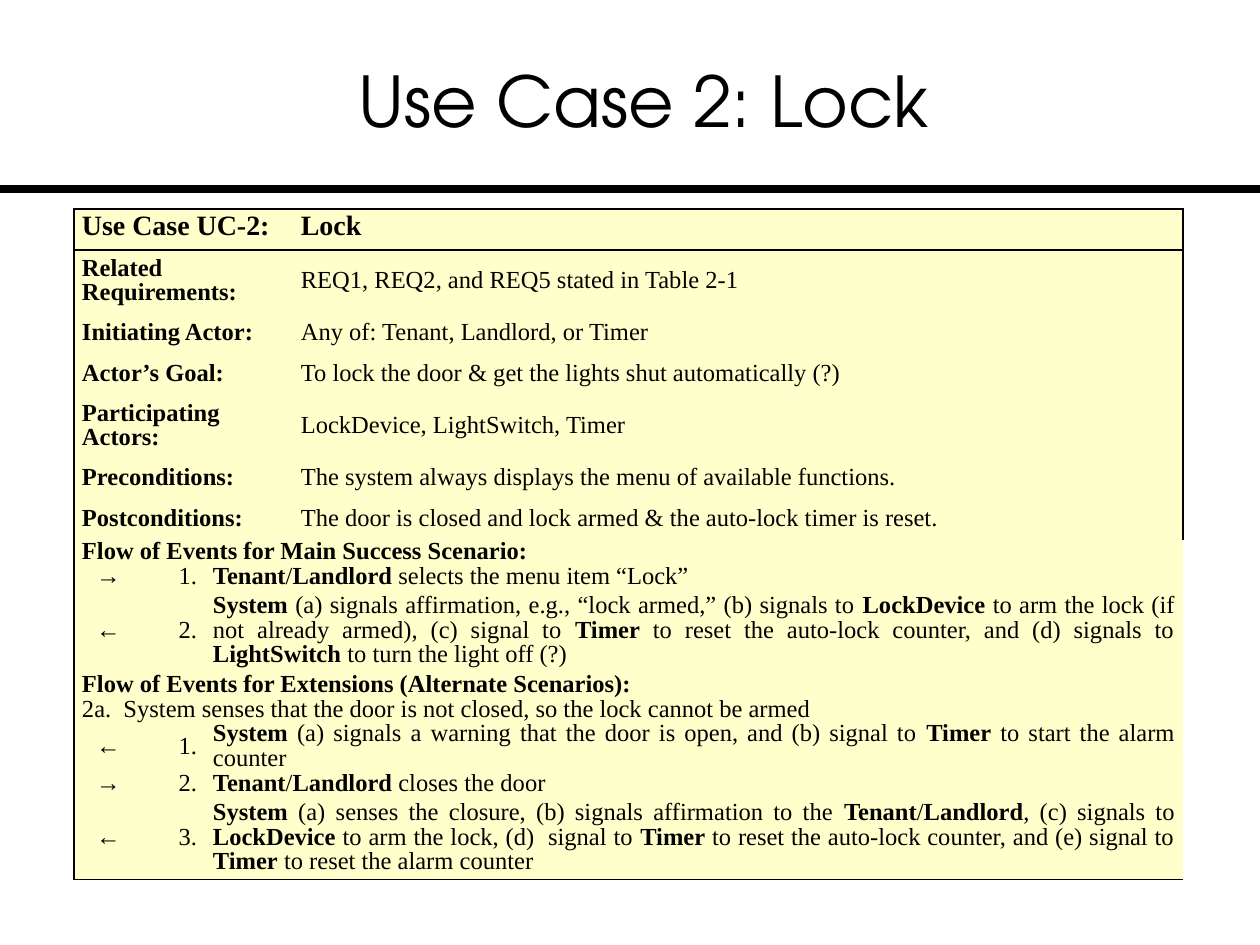
from lxml import etree
from pptx import Presentation
from pptx import util as u
from pptx.dml.color import RGBColor
from pptx.enum import shapes, text
from pptx.oxml import ns

BLACK = RGBColor(0x00, 0x00, 0x00)
CREAM = RGBColor(0xFF, 0xFF, 0xCC)
TITLE_FONT = "TeX Gyre Adventor"
BODY_FONT = "Times New Roman"
LEFT, CENTER = text.PP_ALIGN.LEFT, text.PP_ALIGN.CENTER
RIGHT, JUSTIFY = text.PP_ALIGN.RIGHT, text.PP_ALIGN.JUSTIFY

COLUMNS = [69, 62, 88, 890]
SHORT, LINE = 41, 25

# Each row: height in px, then its cells. One cell spans the table, two make
# a label and value, three make a step. Text between ** marks is bold.
ROWS = [
    (SHORT, "**Use Case UC-2:**", "**Lock**"),
    (63, "**Related Requirements:**", "REQ1, REQ2, and REQ5 stated in Table 2-1"),
    (SHORT, "**Initiating Actor:**", "Any of: Tenant, Landlord, or Timer"),
    (SHORT, "**Actor’s Goal:**",
     "To lock the door & get the lights shut automatically (?)"),
    (63, "**Participating Actors:**", "LockDevice, LightSwitch, Timer"),
    (SHORT, "**Preconditions:**",
     "The system always displays the menu of available functions."),
    (SHORT, "**Postconditions:**",
     "The door is closed and lock armed & the auto-lock timer is reset."),
    (LINE, "**Flow of Events for Main Success Scenario:**"),
    (LINE, "→", "1.", "**Tenant**/**Landlord** selects the menu item “Lock”"),
    (83, "←", "2.",
     "**System** (a) signals affirmation, e.g., “lock armed,” (b) signals to "
     "**LockDevice** to arm the lock (if not already armed), (c) signal to "
     "**Timer** to reset the auto-lock counter, and (d) signals to "
     "**LightSwitch** to turn the light off (?)"),
    (LINE, "**Flow of Events for Extensions (Alternate Scenarios):**"),
    (LINE, "2a.  System senses that the door is not closed, "
           "so the lock cannot be armed"),
    (49, "←", "1.",
     "**System** (a) signals a warning that the door is open, and (b) signal "
     "to **Timer** to start the alarm counter"),
    (LINE, "→", "2.", "**Tenant**/**Landlord** closes the door"),
    (83, "←", "3.",
     "**System** (a) senses the closure, (b) signals affirmation to the "
     "**Tenant**/**Landlord**, (c) signals to **LockDevice** to arm the lock, "
     "(d)  signal to **Timer** to reset the auto-lock counter, and (e) signal "
     "to **Timer** to reset the alarm counter"),
]

# Number of cells in a row -> first and last column, alignment of each cell
LAYOUTS = {
    1: [(0, 3, JUSTIFY)],
    2: [(0, 2, JUSTIFY), (3, 3, JUSTIFY)],
    3: [(0, 0, CENTER), (1, 1, RIGHT), (2, 3, JUSTIFY)],
}


def px(n):
    return u.Emu(round(n * 914400 / 126))


def set_borders(cell, sides):
    """Draw a black line on the named sides and none on the others."""
    tcPr = cell._tc.get_or_add_tcPr()
    for side in "LRTB":
        ln = etree.SubElement(tcPr, ns.qn("a:ln" + side), w=str(u.Pt(1)))
        if side in sides:
            fill = etree.SubElement(ln, ns.qn("a:solidFill"))
            etree.SubElement(fill, ns.qn("a:srgbClr"), val=str(BLACK))
        else:
            etree.SubElement(ln, ns.qn("a:noFill"))


def write_cell(cell, marked, size, align):
    cell.vertical_anchor = text.MSO_ANCHOR.MIDDLE
    cell.margin_left = cell.margin_right = px(8)
    cell.margin_top = cell.margin_bottom = 0
    p = cell.text_frame.paragraphs[0]
    p.alignment = align
    p.line_spacing = u.Pt(14)
    for i, part in enumerate(marked.split("**")):
        if part:
            r = p.add_run()
            r.text = part
            r.font.name = BODY_FONT
            r.font.size = u.Pt(size)
            r.font.bold = i % 2 == 1
            r.font.color.rgb = BLACK


def add_title(s, x, y, w, h):
    sp = s.shapes.title
    sp.left, sp.top, sp.width, sp.height = px(x), px(y), px(w), px(h)
    tf = sp.text_frame
    tf.text = "Use Case 2: Lock"
    tf.vertical_anchor = text.MSO_ANCHOR.MIDDLE
    tf.margin_left = tf.margin_right = 0
    p = tf.paragraphs[0]
    p.alignment = CENTER
    f = p.runs[0].font
    f.name, f.size, f.color.rgb = TITLE_FONT, u.Pt(40), BLACK


def add_rule(s, x, y, w):
    line = s.shapes.add_connector(
        shapes.MSO_CONNECTOR.STRAIGHT, px(x), px(y), px(x + w), px(y))
    line.line.color.rgb = BLACK
    line.line.width = u.Pt(4.5)
    etree.SubElement(line._element.spPr, ns.qn("a:effectLst"))


def add_use_case(s, x, y):
    heights = [row[0] for row in ROWS]
    table = s.shapes.add_table(
        len(ROWS), len(COLUMNS), px(x), px(y),
        px(sum(COLUMNS)), px(sum(heights))).table
    table.first_row = table.horz_banding = False
    for column, width in zip(table.columns, COLUMNS):
        column.width = px(width)

    last_row, last_col = len(ROWS) - 1, len(COLUMNS) - 1
    for i, (height, *texts) in enumerate(ROWS):
        table.rows[i].height = px(height)
        # Frame around the table and a line under the heading
        for j in range(len(COLUMNS)):
            sides = (("L" if j == 0 else "") + ("R" if j == last_col else "")
                     + ("T" if i in (0, 1) else "")
                     + ("B" if i in (0, last_row) else ""))
            cell = table.cell(i, j)
            set_borders(cell, sides)
            cell.fill.solid()
            cell.fill.fore_color.rgb = CREAM
        # Wording
        for (first, last, align), marked in zip(LAYOUTS[len(texts)], texts):
            cell = table.cell(i, first)
            if last > first:
                cell.merge(table.cell(i, last))
            if i == 0:
                write_cell(cell, marked, 16, LEFT)
            else:
                write_cell(cell, marked, 14, align)


def main():
    prs = Presentation()
    prs.slide_width, prs.slide_height = px(1260), px(945)
    s = prs.slides.add_slide(prs.slide_layouts[5])
    add_rule(s, 0, 189, 1260)
    add_title(s, 53, 21, 1182, 158)
    add_use_case(s, 74, 209)
    prs.save("out.pptx")


if __name__ == "__main__":
    main()
